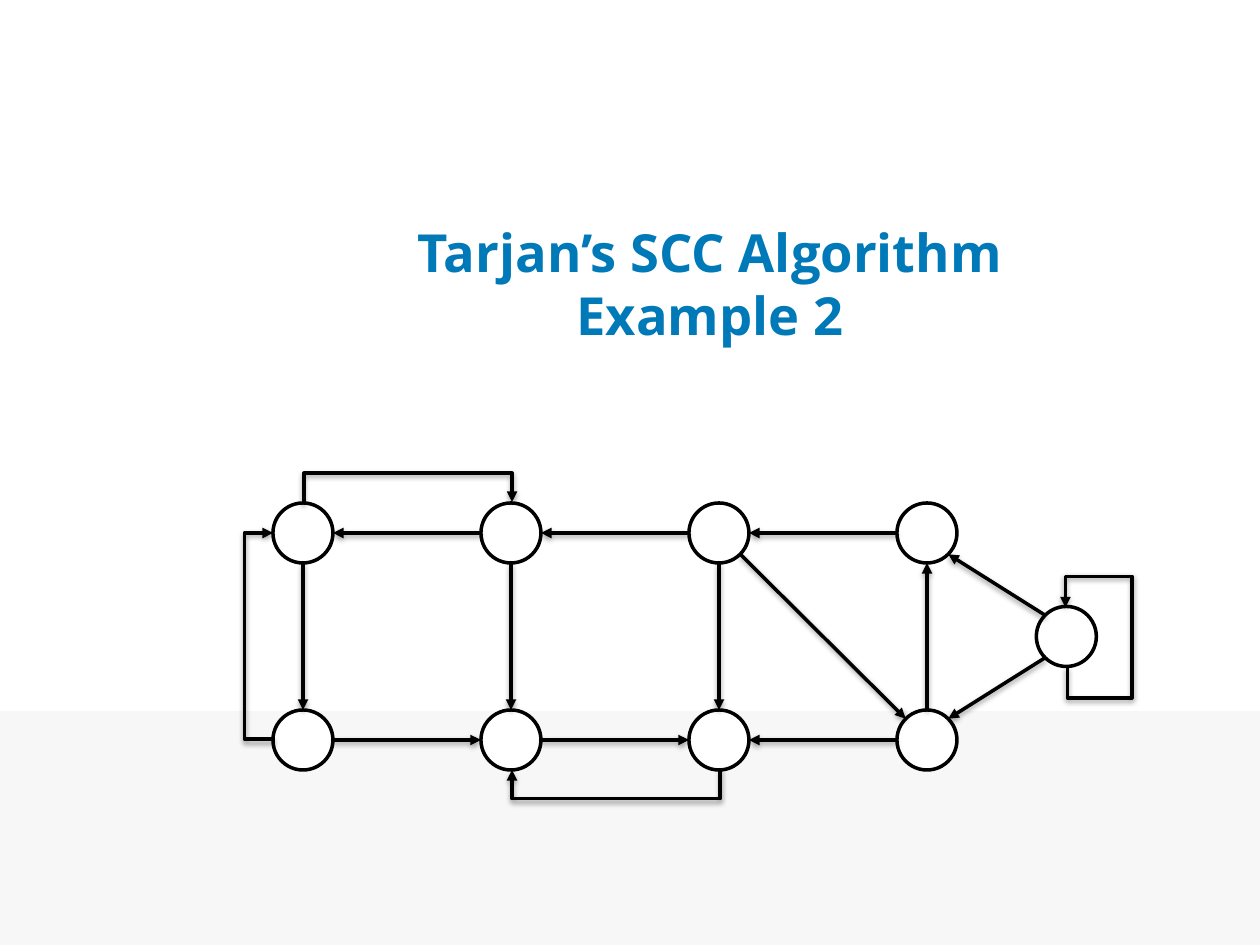
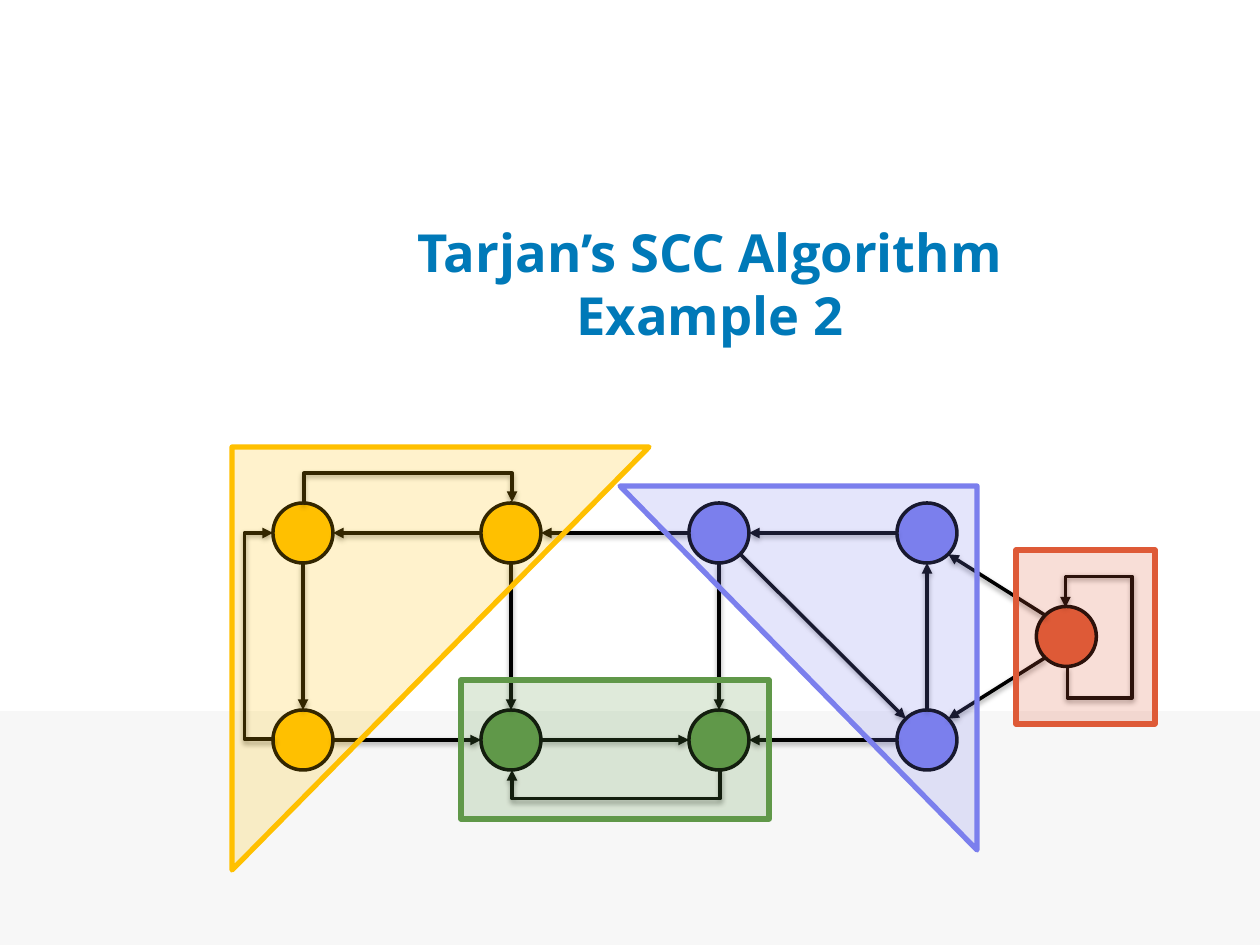
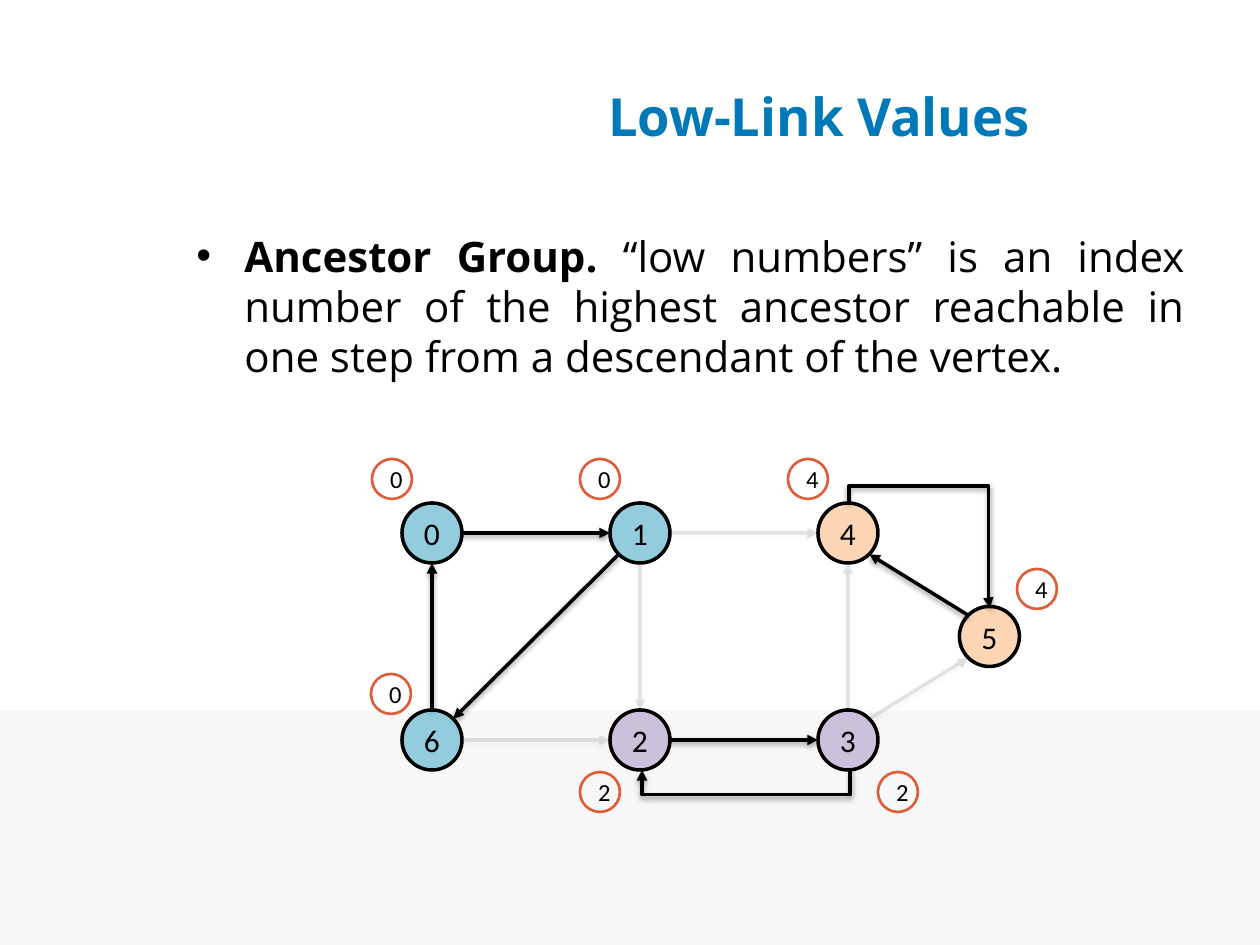
from lxml import etree
from pptx import Presentation
from pptx.dml.color import RGBColor
from pptx.enum.shapes import MSO_CONNECTOR, MSO_SHAPE
from pptx.enum.text import MSO_ANCHOR, PP_ALIGN
from pptx.oxml.ns import qn
from pptx.util import Emu, Pt

OVAL, RECTANGLE, TRIANGLE = MSO_SHAPE.OVAL, MSO_SHAPE.RECTANGLE, MSO_SHAPE.ISOSCELES_TRIANGLE
STRAIGHT, ELBOW = MSO_CONNECTOR.STRAIGHT, MSO_CONNECTOR.ELBOW
CENTER, JUSTIFY, MIDDLE = PP_ALIGN.CENTER, PP_ALIGN.JUSTIFY, MSO_ANCHOR.MIDDLE

SCALE = 914400 / 126
BLACK, WHITE, BAND, TITLE = "000000", "FFFFFF", "F7F7F7", "0079B8"
YELLOW, GREEN, VIOLET, RED = "FFC000", "609849", "7B7FED", "DE5A37"
AQUA, LILAC, PEACH, LABEL_LINE = "93CDDD", "CCC1DA", "FCD5B5", "DF5C39"
HEADING_FONT, NODE_FONT = "Open Sans", "Calibri"

NODE_SIZE, LABEL_SIZE = 60, 40
COLUMN_STEP, ROW_STEP = 208, 207

EXAMPLE_NODES = {
    "top1": (0, 0), "top2": (1, 0), "top3": (2, 0), "top4": (3, 0),
    "low1": (0, 1), "low2": (1, 1), "low3": (2, 1), "low4": (3, 1),
    "side": (3.67, 0.5),
}
EXAMPLE_EDGES = [
    ("low1", "low2"), ("top2", "low2"), ("top3", "low3"), ("low4", "top4"),
    ("side", "top4"), ("side", "low4"), ("top4", "top3"), ("top3", "top2"),
    ("low2", "low3"), ("low4", "low3"), ("top1", "low1"), ("top2", "top1"),
    ("top3", "low4"),
]
EXAMPLE_BENDS = [
    ((312, 132, 2, 208), 90, "", [15.5]),
    ((-30, 0, 2, 206), 180, "", [15.5]),
    ((104, -134, 2, 208), 90, "HV", [15.5]),
    ((734, 103, 59, 2), 90, "H", [-0.53, -32.5, 1.53]),
]
COMPONENTS = {
    YELLOW: ["top1", "top2", "low1"],
    GREEN: ["low2", "low3"],
    VIOLET: ["top3", "top4", "low4"],
    RED: ["side"],
}
REGIONS = [
    (TRIANGLE, (-74, -83, 423, 417), 90, YELLOW),
    (RECTANGLE, (158, 147, 308, 139), 0, GREEN),
    (TRIANGLE, (317, -47, 357, 364), 180, VIOLET),
    (RECTANGLE, (713, 17, 139, 174), 0, RED),
]

LOW_LINK_NODES = {
    "0": (0, 0), "1": (1, 0), "4": (2, 0), "6": (0, 1),
    "2": (1, 1), "3": (2, 1), "5": (2.68, 0.5),
}
LOW_LINK_FILLS = {"0": AQUA, "1": AQUA, "6": AQUA, "2": LILAC, "3": LILAC,
                  "4": PEACH, "5": PEACH}
LOW_LINK_EDGES = [("5", "4"), ("2", "3"), ("6", "0"), ("0", "1"), ("1", "6")]
FADED_EDGES = [("6", "2"), ("1", "2"), ("3", "4"), ("3", "5"), ("1", "4")]
LOW_LINK_BENDS = [
    ((313, 132, 2, 208), 90, "", [13.5]),
    ((435, -48, 105, 141), 270, "H", [-0.16, 0.99]),
]
LOW_LINK_LABELS = [
    ("0", -40, -54), ("0", 168, -54), ("0", -41, 161), ("2", 168, 259),
    ("2", 466, 259), ("4", 605, 56), ("4", 376, -54),
]


def px(length):
    return Emu(round(length * SCALE))


def color(value):
    return RGBColor.from_string(value)


def add_child(parent, tag, **attributes):
    child = etree.SubElement(parent, qn(tag))
    for name, value in attributes.items():
        child.set(name, str(value))
    return child


def set_alpha(properties, percent):
    add_child(properties.find(".//" + qn("a:srgbClr")), "a:alpha", val=percent * 1000)


def add_run(paragraph, text, font, size, tint, bold=False):
    run = paragraph.add_run()
    run.text = text
    run.font.name, run.font.size, run.font.bold = font, Pt(size), bold
    run.font.color.rgb = color(tint)


def add_shape(slide, kind, box, fill=None, line=None, width=2):
    shape = slide.shapes.add_shape(kind, *map(px, box))
    shape.shadow.inherit = False
    if fill:
        shape.fill.solid()
        shape.fill.fore_color.rgb = color(fill)
    else:
        shape.fill.background()
    if line:
        shape.line.color.rgb = color(line)
        shape.line.width = Pt(width)
    else:
        shape.line.fill.background()
    return shape


def add_circle(slide, center, size, fill, line, width, text, text_size):
    x, y = center
    circle = add_shape(slide, OVAL, (x - size / 2, y - size / 2, size, size), fill, line, width)
    if text:
        circle.text_frame.vertical_anchor = MIDDLE
        paragraph = circle.text_frame.paragraphs[0]
        paragraph.alignment = CENTER
        add_run(paragraph, text, NODE_FONT, text_size, BLACK)


def format_arrow(connector, faded=False):
    connector.line.color.rgb = color(BLACK)
    connector.line.width = Pt(2)
    properties = connector._element.spPr
    line = properties.get_or_add_ln()
    if faded:
        set_alpha(line, 10)
    add_child(line, "a:tailEnd", type="triangle")
    effects = add_child(properties, "a:effectLst")
    shadow = add_child(effects, "a:outerShdw", blurRad=40000, dist=20000,
                       dir=5400000, rotWithShape=0)
    tint = add_child(shadow, "a:srgbClr", val=BLACK)
    add_child(tint, "a:alpha", val=38000)


def sign(value):
    return (value > 0) - (value < 0)


def add_edge(slide, start, end, faded=False):
    across, down = (sign(b - a) for a, b in zip(start, end))
    reach = NODE_SIZE / 2 * (0.71 if across and down else 1)
    connector = slide.shapes.add_connector(
        STRAIGHT,
        px(start[0] + across * reach), px(start[1] + down * reach),
        px(end[0] - across * reach), px(end[1] - down * reach))
    format_arrow(connector, faded)


def add_bend(slide, box, rotation, flips, adjustments):
    left, top, width, height = box
    connector = slide.shapes.add_connector(
        ELBOW, px(left), px(top), px(left + width), px(top + height))
    properties = connector._element.spPr
    transform = properties.find(qn("a:xfrm"))
    transform.set("rot", str(rotation * 60000))
    for axis in flips:
        transform.set("flip" + axis, "1")
    geometry = properties.find(qn("a:prstGeom"))
    geometry.set("prst", f"bentConnector{len(adjustments) + 2}")
    guides = geometry.find(qn("a:avLst"))
    for number, value in enumerate(adjustments, 1):
        add_child(guides, "a:gd", name=f"adj{number}", fmla=f"val {round(value * 100000)}")
    format_arrow(connector)


def shift(box, origin):
    return (box[0] + origin[0], box[1] + origin[1], *box[2:])


def add_graph(slide, origin, nodes, fills, edges, bends, faded_edges=(), numbered=False):
    centers = {name: shift((column * COLUMN_STEP, row * ROW_STEP), origin)
               for name, (column, row) in nodes.items()}
    for name, center in centers.items():
        add_circle(slide, center, NODE_SIZE, fills.get(name, WHITE), BLACK, 2,
                   name if numbered else "", 18)
    for group, faded in ((faded_edges, True), (edges, False)):
        for start, end in group:
            add_edge(slide, centers[start], centers[end], faded)
    for box, *shape_rule in bends:
        add_bend(slide, shift(box, origin), *shape_rule)


def add_regions(slide, origin):
    for kind, box, rotation, tint in REGIONS:
        region = add_shape(slide, kind, shift(box, origin), tint, tint, 3)
        region.rotation = rotation
        if kind == TRIANGLE:
            region.adjustments[0] = 0
        set_alpha(region._element.spPr.find(qn("a:solidFill")), 20)


def add_labels(slide, origin):
    for text, *center in LOW_LINK_LABELS:
        add_circle(slide, shift(center, origin), LABEL_SIZE, None, LABEL_LINE, 1.5, text, 14)


def add_titled_slide(presentation, box, lines):
    slide = presentation.slides.add_slide(presentation.slide_layouts[5])
    add_shape(slide, RECTANGLE, (0, 711, 1260, 234), BAND)
    title = slide.shapes.title
    title.left, title.top, title.width, title.height = map(px, box)
    title.text_frame.vertical_anchor = MIDDLE
    paragraph = title.text_frame.paragraphs[0]
    paragraph.alignment = CENTER
    for number, line in enumerate(lines):
        if number:
            paragraph.add_line_break()
        add_run(paragraph, line, HEADING_FONT, 30, TITLE, True)
    return slide


def add_definition(slide, box):
    frame = slide.shapes.add_textbox(*map(px, box)).text_frame
    frame.word_wrap = True
    paragraph = frame.paragraphs[0]
    paragraph.alignment = JUSTIFY
    properties = paragraph._p.get_or_add_pPr()
    properties.set("marL", str(px(48)))
    properties.set("indent", str(-px(48)))
    add_child(properties, "a:buFont", typeface="Arial")
    add_child(properties, "a:buChar", char="•")
    add_run(paragraph, "Ancestor Group. ", HEADING_FONT, 24, BLACK, True)
    add_run(paragraph, "“low numbers” is an index number of the highest ancestor "
            "reachable in one step from a descendant of the vertex.",
            HEADING_FONT, 24, BLACK)


def add_example_slide(presentation, fills, with_regions):
    slide = add_titled_slide(presentation, (223, 204, 974, 158),
                             ["Tarjan’s SCC Algorithm", "Example 2"])
    origin = (303, 533)
    add_graph(slide, origin, EXAMPLE_NODES, fills, EXAMPLE_EDGES, EXAMPLE_BENDS)
    if with_regions:
        add_regions(slide, origin)


def add_low_link_slide(presentation):
    slide = add_titled_slide(presentation, (441, 37, 756, 158), ["Low-Link Values"])
    add_definition(slide, (184, 224, 1013, 620))
    origin = (432, 533)
    add_graph(slide, origin, LOW_LINK_NODES, LOW_LINK_FILLS, LOW_LINK_EDGES,
              LOW_LINK_BENDS, FADED_EDGES, numbered=True)
    add_labels(slide, origin)


def main():
    presentation = Presentation()
    presentation.slide_width, presentation.slide_height = px(1260), px(945)
    component_fills = {name: tint for tint, names in COMPONENTS.items() for name in names}
    add_example_slide(presentation, {}, False)
    add_example_slide(presentation, component_fills, True)
    add_low_link_slide(presentation)
    presentation.save("out.pptx")


if __name__ == "__main__":
    main()
